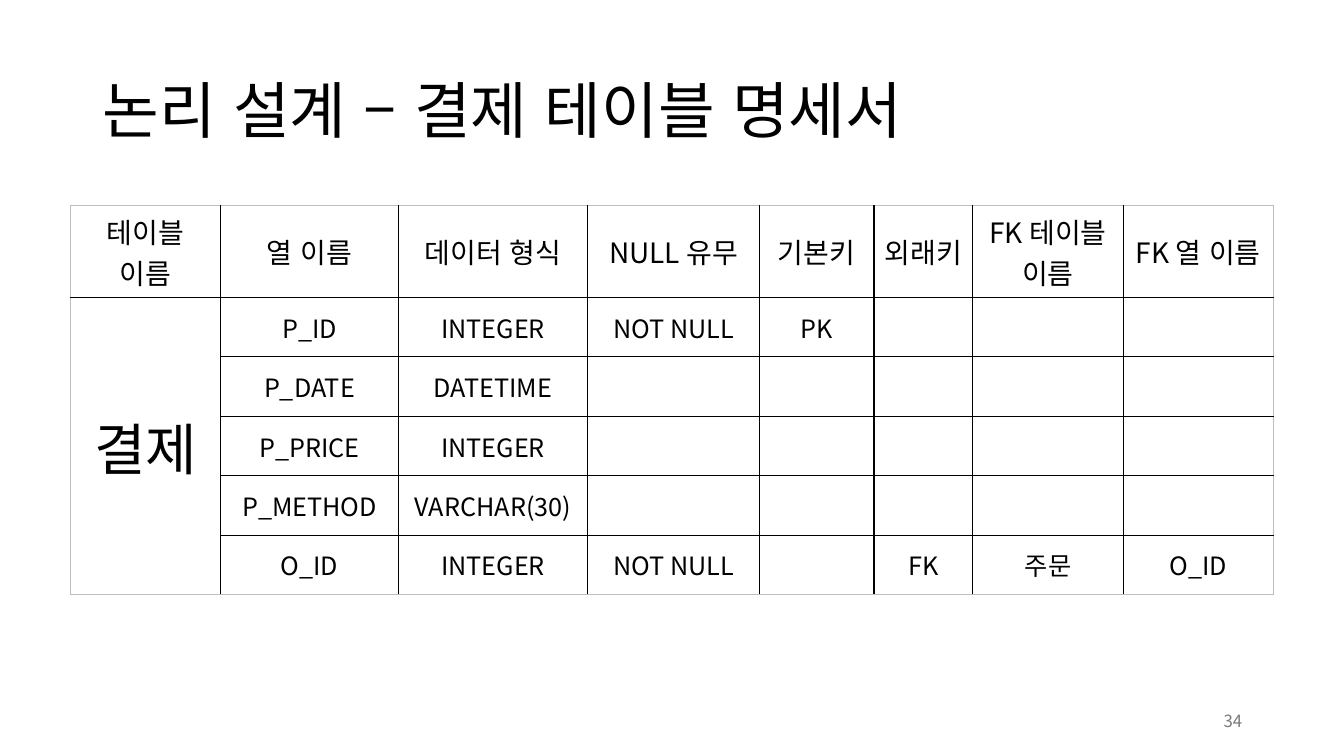
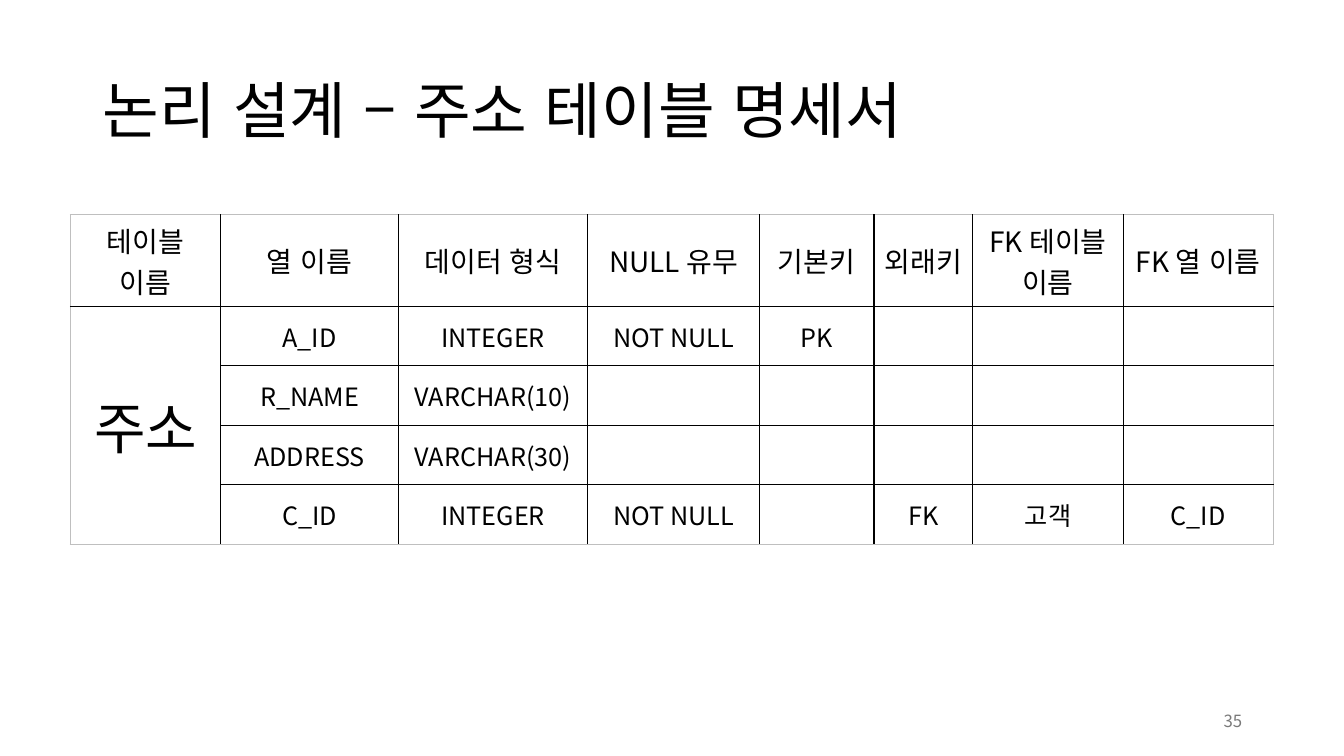
from dataclasses import dataclass

from lxml.etree import SubElement
from pptx import Presentation
from pptx.dml.color import RGBColor
from pptx.enum.lang import MSO_LANGUAGE_ID
from pptx.enum.text import MSO_ANCHOR, PP_ALIGN
from pptx.oxml.ns import qn
from pptx.util import Inches, Pt


@dataclass(frozen=True)
class Theme:
    """Colours, font and type sizes shared by the slides."""

    font: str = "Noto Sans CJK KR"
    ink: str = "000000"
    muted: str = "797979"
    frame: str = "BFBFBF"
    title: int = 44
    entity: int = 40
    header: int = 20
    body: int = 18
    page: int = 12
    border: int = 1


THEME = Theme()
GRID_STYLE = "{5940675A-B579-460E-94D1-54222C63F5DA}"
TABLE_LEFT = 0.7
HEADER_HEIGHT = 0.91
ROW_HEIGHT = 0.59
COLUMN_WIDTHS = (1.49, 1.76, 1.88, 1.7, 1.14, 0.98, 1.49, 1.49)
HEADINGS = ("테이블 이름", "열 이름", "데이터 형식", "NULL 유무",
            "기본키", "외래키", "FK 테이블 이름", "FK 열 이름")

SPECIFICATIONS = (
    {
        "entity": "결제", "page": 34, "top": 2.04,
        "fields": (
            ("P_ID", "INTEGER", "NOT NULL", "PK", "", "", ""),
            ("P_DATE", "DATETIME", "", "", "", "", ""),
            ("P_PRICE", "INTEGER", "", "", "", "", ""),
            ("P_METHOD", "VARCHAR(30)", "", "", "", "", ""),
            ("O_ID", "INTEGER", "NOT NULL", "", "FK", "주문", "O_ID"),
        ),
    },
    {
        "entity": "주소", "page": 35, "top": 2.13,
        "fields": (
            ("A_ID", "INTEGER", "NOT NULL", "PK", "", "", ""),
            ("R_NAME", "VARCHAR(10)", "", "", "", "", ""),
            ("ADDRESS", "VARCHAR(30)", "", "", "", "", ""),
            ("C_ID", "INTEGER", "NOT NULL", "", "FK", "고객", "C_ID"),
        ),
    },
)


def write_text(frame, text, *, size, color=THEME.ink, align=PP_ALIGN.LEFT, spacing=None):
    """Write one formatted paragraph into a text frame."""
    frame.word_wrap = True
    paragraph = frame.paragraphs[0]
    paragraph.alignment = align
    if spacing:
        paragraph.line_spacing = spacing
    run = paragraph.add_run()
    run.text = text
    run.font.size = Pt(size)
    run.font.color.rgb = RGBColor.from_string(color)
    run.font.name = THEME.font
    run.font.language_id = MSO_LANGUAGE_ID.KOREAN
    SubElement(run.font._element, qn("a:ea"), typeface=THEME.font)


def add_label(slide, text, left, top, width, height, **text_format):
    """Add a vertically centred text box."""
    label = slide.shapes.add_textbox(
        Inches(left), Inches(top), Inches(width), Inches(height))
    label.text_frame.vertical_anchor = MSO_ANCHOR.MIDDLE
    write_text(label.text_frame, text, **text_format)


def add_borders(cell, outer_sides):
    """Draw the cell sides, lighter along the outside of the grid."""
    properties = cell._tc.get_or_add_tcPr()
    for position, side in enumerate(("lnL", "lnR", "lnT", "lnB")):
        line = properties.makeelement(qn(f"a:{side}"), w=str(Pt(THEME.border)))
        fill = SubElement(line, qn("a:solidFill"))
        color = THEME.frame if side in outer_sides else THEME.ink
        SubElement(fill, qn("a:srgbClr"), val=color)
        properties.insert(position, line)


def format_cell(grid, row, column, text, size):
    """Give a table cell its borders, clear fill and centred text."""
    cell = grid.cell(row, column)
    cell.fill.background()
    is_entity = column == 0 and row > 0
    outside = {
        "lnL": column == 0,
        "lnR": column == len(grid.columns) - 1,
        "lnT": row == 0,
        "lnB": is_entity or row == len(grid.rows) - 1,
    }
    add_borders(cell, {side for side, is_outer in outside.items() if is_outer})
    cell.vertical_anchor = MSO_ANCHOR.MIDDLE
    if text:
        write_text(cell.text_frame, text, size=size, align=PP_ALIGN.CENTER)


def add_specification(slide, entity, fields, top):
    """Add the grid that describes the columns of one entity."""
    heights = [HEADER_HEIGHT] + [ROW_HEIGHT] * len(fields)
    grid = slide.shapes.add_table(
        len(heights), len(HEADINGS), Inches(TABLE_LEFT), Inches(top),
        Inches(sum(COLUMN_WIDTHS)), Inches(sum(heights))).table
    grid.first_row = grid.horz_banding = False
    grid._tbl.tblPr.find(qn("a:tableStyleId")).text = GRID_STYLE
    for column, width in zip(grid.columns, COLUMN_WIDTHS):
        column.width = Inches(width)
    for row, height in zip(grid.rows, heights):
        row.height = Inches(height)

    for column, heading in enumerate(HEADINGS):
        format_cell(grid, 0, column, heading, THEME.header)
    for row, field in enumerate(fields, start=1):
        format_cell(grid, row, 0, entity if row == 1 else "", THEME.entity)
        for column, value in enumerate(field, start=1):
            format_cell(grid, row, column, value, THEME.body)
    grid.cell(1, 0).merge(grid.cell(len(fields), 0))


def add_slide(deck, entity, page, top, fields):
    """Add one table specification slide."""
    slide = deck.slides.add_slide(deck.slide_layouts[6])
    add_label(slide, f"논리 설계 – {entity} 테이블 명세서", 0.92, 0.4, 11.5, 1.45,
              size=THEME.title, spacing=0.9)
    add_label(slide, str(page), 9.42, 6.95, 3, 0.4,
              size=THEME.page, color=THEME.muted, align=PP_ALIGN.RIGHT)
    add_specification(slide, entity, fields, top)


def main():
    """Build and save the deck."""
    deck = Presentation()
    deck.slide_width, deck.slide_height = Inches(13.33), Inches(7.5)
    for specification in SPECIFICATIONS:
        add_slide(deck, **specification)
    deck.save("out.pptx")


if __name__ == "__main__":
    main()
